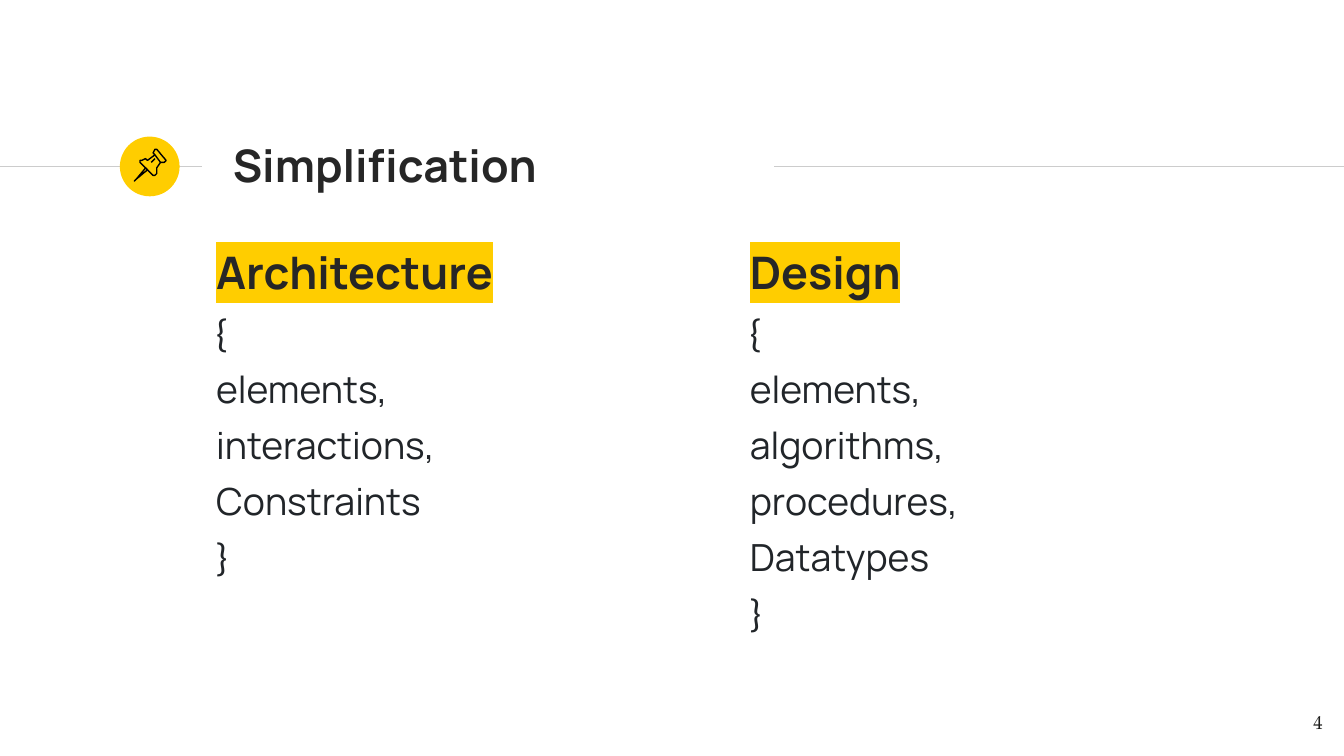
from dataclasses import dataclass
from lxml import etree
from pptx import Presentation
from pptx.dml.color import RGBColor
from pptx.enum.shapes import MSO_CONNECTOR, MSO_SHAPE
from pptx.enum.text import MSO_ANCHOR, MSO_AUTO_SIZE, PP_ALIGN
from pptx.oxml.ns import qn
from pptx.util import Pt

STRAIGHT = MSO_CONNECTOR.STRAIGHT
ELLIPSE = MSO_SHAPE.OVAL
LEFT, RIGHT = PP_ALIGN.LEFT, PP_ALIGN.RIGHT
TOP, MIDDLE = MSO_ANCHOR.TOP, MSO_ANCHOR.MIDDLE
NO_AUTOFIT = MSO_AUTO_SIZE.NONE
TITLE_ONLY = 5


@dataclass(frozen=True)
class Theme:
    accent: str = "FFCD00"
    heading: str = "262626"
    body: str = "212529"
    number: str = "1D1D1B"
    rule: str = "CCCCCC"
    pin: str = "000000"
    main_font: str = "Manrope"
    brace_font: str = "Lato"
    number_font: str = "TeX Gyre Pagella"
    heading_size: float = 24
    body_size: float = 20
    number_size: float = 10
    line_width: float = 0.75
    inset: float = 7.2


def add_text(paragraph, text, *, font, size, color, bold=False, highlight=None,
             align=LEFT, before=0, spacing=None):
    paragraph.alignment = align
    paragraph.space_before = Pt(before)
    if spacing:
        paragraph.line_spacing = Pt(spacing)
    run = paragraph.add_run()
    run.text = text
    run.font.name = font
    run.font.size = Pt(size)
    run.font.bold = bold
    run.font.color.rgb = RGBColor.from_string(color)
    if highlight:
        marker = etree.Element(qn("a:highlight"))
        etree.SubElement(marker, qn("a:srgbClr"), val=highlight)
        run.font._element.find(qn("a:solidFill")).addnext(marker)


class SlideBuilder:
    def __init__(self, slide, theme):
        self.slide = slide
        self.theme = theme

    def frame(self, shape, anchor=TOP, left_inset=None, top_inset=None):
        inset = self.theme.inset
        text_frame = shape.text_frame
        text_frame.word_wrap = True
        text_frame.auto_size = NO_AUTOFIT
        text_frame.vertical_anchor = anchor
        text_frame.margin_left = Pt(left_inset or inset)
        text_frame.margin_top = Pt(top_inset or inset)
        text_frame.margin_right = text_frame.margin_bottom = Pt(inset)
        return text_frame

    def text_box(self, left, top, width, height, **format):
        box = self.slide.shapes.add_textbox(Pt(left), Pt(top), Pt(width), Pt(height))
        return self.frame(box, **format)

    def title(self, text, left, top, width, height):
        theme = self.theme
        shape = self.slide.shapes.title
        shape.left, shape.top = Pt(left), Pt(top)
        shape.width, shape.height = Pt(width), Pt(height)
        text_frame = self.frame(shape, anchor=MIDDLE, left_inset=16)
        add_text(text_frame.paragraphs[0], text, font=theme.main_font,
                 size=theme.heading_size, color=theme.heading, bold=True)

    def rule(self, start, end, y):
        line = self.slide.shapes.add_connector(STRAIGHT, Pt(start), Pt(y), Pt(end), Pt(y))
        line.line.color.rgb = RGBColor.from_string(self.theme.rule)
        line.line.width = Pt(self.theme.line_width)
        etree.SubElement(line._element.spPr, qn("a:effectLst"))

    def disc(self, left, top, diameter):
        shape = self.slide.shapes.add_shape(
            ELLIPSE, Pt(left), Pt(top), Pt(diameter), Pt(diameter))
        shape.shadow.inherit = False
        shape.fill.solid()
        shape.fill.fore_color.rgb = RGBColor.from_string(self.theme.accent)
        shape.line.fill.background()

    def icon(self, outlines):
        group = self.slide.shapes.add_group_shape()
        for points, closed in outlines:
            builder = group.shapes.build_freeform(*points[0], scale=Pt(1))
            builder.add_line_segments(points[1:], close=closed)
            shape = builder.convert_to_shape()
            shape.shadow.inherit = False
            shape.fill.background()
            shape.line.color.rgb = RGBColor.from_string(self.theme.pin)
            shape.line.width = Pt(self.theme.line_width)

    def column(self, heading, items, left):
        theme = self.theme
        text_frame = self.text_box(left, 127.4, 270, 254.2, top_inset=8.7)
        add_text(text_frame.paragraphs[0], heading, font=theme.main_font,
                 size=theme.heading_size, color=theme.heading, bold=True,
                 highlight=theme.accent, before=6, spacing=24)
        for item in ["{", *items, "}"]:
            font = theme.brace_font if item in "{}" else theme.main_font
            add_text(text_frame.add_paragraph(), item, font=font, size=theme.body_size,
                     color=theme.body, before=6, spacing=24)

    def page_number(self, number):
        theme = self.theme
        text_frame = self.text_box(672.5, 373.7, 43.2, 31)
        add_text(text_frame.paragraphs[0], number, font=theme.number_font,
                 size=theme.number_size, color=theme.number, align=RIGHT)


PIN = [
    ([(77.8, 90), (72.7, 96.5), (72, 97.2), (73.4, 96.5), (79.2, 91.4)], True),
    ([(82.8, 82.8), (86.4, 87.1), (87.8, 87.1), (89.1, 86.1), (89.1, 85.6),
      (83.9, 80.5), (83, 80.5), (82.2, 81.6), (82.2, 82.4)], True),
    ([(82.8, 82.8), (79.2, 85.9), (77.5, 85.4), (75.8, 85.9), (74.9, 86.4),
      (74.9, 87.1), (82.1, 94.3), (82.8, 94.3), (83.5, 93.2), (83.7, 91.8),
      (83.5, 90.3), (86.4, 87.1)], False),
    ([(80.6, 87.1), (82.8, 85)], False),
]
COLUMNS = [
    ("Architecture", ["elements,", "interactions,", "Constraints"], 108.7),
    ("Design", ["elements,", "algorithms,", "procedures,", "Datatypes"], 394.6),
]

presentation = Presentation()
presentation.slide_width, presentation.slide_height = Pt(720), Pt(405)
slide = presentation.slides.add_slide(presentation.slide_layouts[TITLE_ONLY])
builder = SlideBuilder(slide, Theme())
for start, end in [(0, 108), (414.7, 720)]:
    builder.rule(start, end, 89.2)
builder.disc(64.2, 73.2, 32)
builder.title("Simplification", 108.7, 70.6, 305.3, 34.6)
for heading, items, left in COLUMNS:
    builder.column(heading, items, left)
builder.icon(PIN)
builder.page_number("4")
presentation.save("out.pptx")
